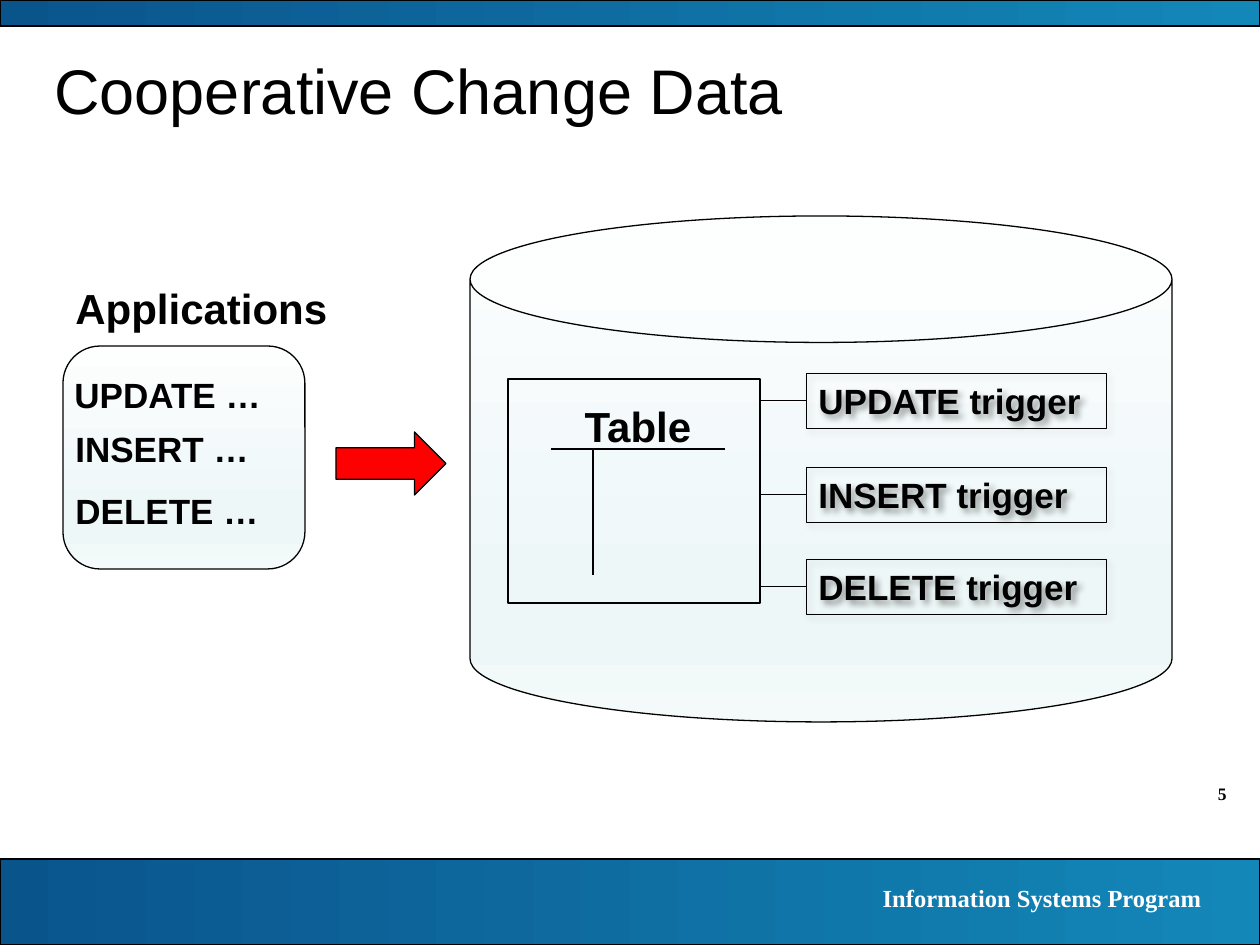
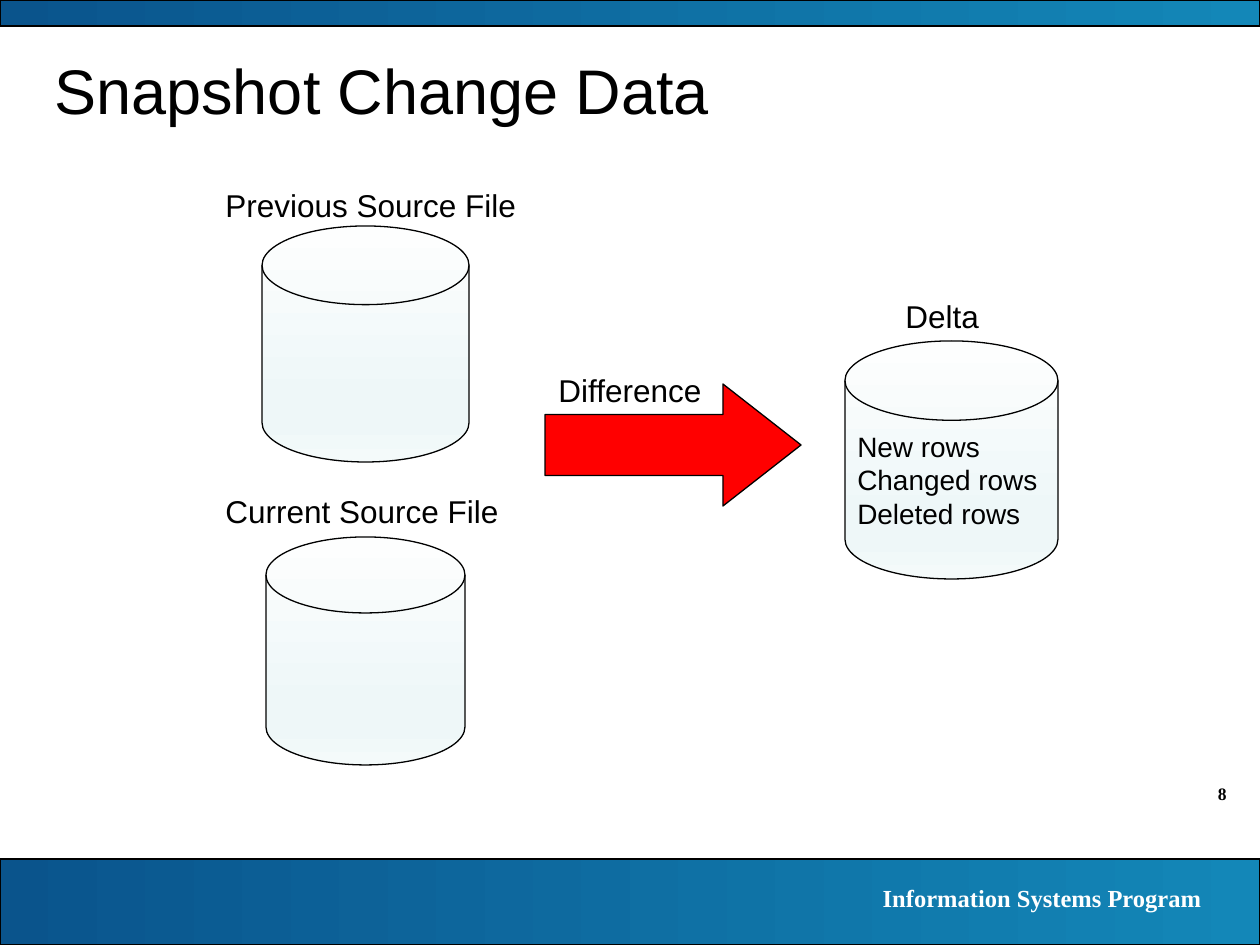
from lxml import etree
from pptx import Presentation
from pptx.dml.color import RGBColor
from pptx.enum.shapes import MSO_CONNECTOR, MSO_SHAPE
from pptx.enum.text import MSO_ANCHOR, PP_ALIGN
from pptx.oxml.ns import qn
from pptx.util import Emu, Pt

RECTANGLE = MSO_SHAPE.RECTANGLE
ROUNDED_BOX = MSO_SHAPE.FLOWCHART_ALTERNATE_PROCESS
CAN = MSO_SHAPE.CAN
DISK = MSO_SHAPE.FLOWCHART_MAGNETIC_DISK
RIGHT_ARROW = MSO_SHAPE.RIGHT_ARROW
STRAIGHT = MSO_CONNECTOR.STRAIGHT
LEFT, CENTER, RIGHT = PP_ALIGN.LEFT, PP_ALIGN.CENTER, PP_ALIGN.RIGHT
TOP, MIDDLE = MSO_ANCHOR.TOP, MSO_ANCHOR.MIDDLE

BLACK = RGBColor(0x00, 0x00, 0x00)
WHITE = RGBColor(0xFF, 0xFF, 0xFF)
RED = RGBColor(0xFF, 0x00, 0x00)
DEEP_BLUE = RGBColor(0x0A, 0x54, 0x8C)
SEA_BLUE = RGBColor(0x13, 0x87, 0xB8)
ICE = RGBColor(0xFD, 0xFE, 0xFE)
MIST = RGBColor(0xEE, 0xF7, 0xF8)
FROST = RGBColor(0xF4, 0xFA, 0xFA)

# Gradients: stops in percent, then the angle counted anticlockwise
BAND_GRADIENT = ([(0, DEEP_BLUE), (100, SEA_BLUE)], 0)
PALE_GRADIENT = ([(0, ICE), (74, MIST), (83, MIST), (100, FROST)], 270)

# Text styles
TITLE = {"name": "Arial", "size": Pt(36), "bold": False}
HEADING = {"name": "Arial", "size": Pt(24), "bold": True}
STATEMENT = {"name": "Arial", "size": Pt(20), "bold": True}
LABEL = {"name": "Arial", "size": Pt(18), "bold": False}
ROW = {"name": "Arial", "size": Pt(16), "bold": False}
PAGE = {"name": "Times New Roman", "size": Pt(10), "bold": True}
PROGRAM = {"name": "Times New Roman", "size": Pt(14), "bold": True}

# Boxes are left, top, width, height in px
EMU_PER_PX = 914400 / 126
SLIDE_WIDTH, SLIDE_HEIGHT = 1260, 945
BANDS = [(0, 859, SLIDE_WIDTH, 86), (0, 0, SLIDE_WIDTH, 26)]
TITLE_BOX = (42, 42, 1155, 95)
PAGE_BOX = (1134, 777, 105, 34)
PROGRAM_BOX = (699, 877, 515, 43)
PROGRAM_NAME = "Information Systems Program"

# Cooperative change data
STATEMENTS = [("UPDATE …", 62, 367), ("INSERT …", 63, 421), ("DELETE …", 63, 483)]
TRIGGERS = [("UPDATE trigger", 373), ("INSERT trigger", 467), ("DELETE trigger", 559)]
APPLICATION_BOX = (63, 346, 242, 223)
DATABASE_BOX = (470, 216, 702, 506)
TABLE_BOX = (508, 379, 252, 224)
TABLE_RULES = [(551, 449, 725, 449), (593, 449, 593, 575)]
TRIGGER_LEFT, TRIGGER_WIDTH, STATEMENT_HEIGHT = 806, 300, 55

# Snapshot change data
DISKS = [
    ((262, 226, 207, 236), []),
    ((266, 537, 199, 228), []),
    ((845, 341, 213, 238), ["New rows", "Changed rows", "Deleted rows"]),
]
DISK_LABELS = [
    ("Previous Source File", (213, 180, 333, 50)),
    ("Current Source File", (213, 486, 333, 50)),
    ("Delta", (893, 291, 116, 50)),
    ("Difference", (546, 365, 183, 50)),
]


def px(*lengths):
    return [Emu(round(length * EMU_PER_PX)) for length in lengths]


def write(shape, lines, style, color=BLACK, align=LEFT, anchor=TOP):
    frame = shape.text_frame
    frame.word_wrap = True
    frame.vertical_anchor = anchor
    frame.text = "\n".join(lines)
    for paragraph in frame.paragraphs:
        paragraph.alignment = align
        for attribute, value in style.items():
            setattr(paragraph.font, attribute, value)
        paragraph.font.color.rgb = color


def add_text(slide, box, text, style, **options):
    write(slide.shapes.add_textbox(*px(*box)), [text], style, **options)


def fill_gradient(shape, gradient):
    stops, angle = gradient
    shape.fill.gradient()
    shape.fill.gradient_angle = angle
    stop_list = shape.element.spPr.find(".//" + qn("a:gsLst"))
    stop_list.clear()
    for percent, color in stops:
        stop = etree.SubElement(stop_list, qn("a:gs"), pos=str(percent * 1000))
        etree.SubElement(stop, qn("a:srgbClr"), val=str(color))


def add_figure(slide, kind, box, gradient=None, color=None, line_width=0.75):
    shape = slide.shapes.add_shape(kind, *px(*box))
    shape.shadow.inherit = False
    if gradient:
        fill_gradient(shape, gradient)
    elif color is not None:
        shape.fill.solid()
        shape.fill.fore_color.rgb = color
    else:
        shape.fill.background()
    shape.line.color.rgb = BLACK
    shape.line.width = Pt(line_width)
    return shape


def add_shadow(shape):
    effects = shape.element.spPr.find(qn("a:effectLst"))
    shadow = etree.SubElement(
        effects, qn("a:outerShdw"), blurRad=str(Pt(4)), dist=str(Pt(3)),
        dir=str(45 * 60000), algn="tl", rotWithShape="0")
    color = etree.SubElement(shadow, qn("a:srgbClr"), val=str(BLACK))
    etree.SubElement(color, qn("a:alpha"), val="40000")


def add_line(slide, ends):
    line = slide.shapes.add_connector(STRAIGHT, *px(*ends))
    line.line.color.rgb = BLACK
    line.line.width = Pt(0.75)
    etree.SubElement(line.element.spPr, qn("a:effectLst"))
    return line


def add_base_slide(presentation, title, number):
    slide = presentation.slides.add_slide(presentation.slide_layouts[6])
    add_text(slide, PAGE_BOX, number, PAGE, align=RIGHT)
    for band in BANDS:
        add_figure(slide, RECTANGLE, band, BAND_GRADIENT)
    add_text(slide, PROGRAM_BOX, PROGRAM_NAME, PROGRAM, color=WHITE, align=RIGHT)
    add_text(slide, TITLE_BOX, title, TITLE, anchor=MIDDLE)
    return slide


def build_cooperative(presentation):
    slide = add_base_slide(presentation, "Cooperative Change Data", "5")
    add_figure(slide, CAN, DATABASE_BOX, PALE_GRADIENT)

    # Applications and their statements
    add_figure(slide, ROUNDED_BOX, APPLICATION_BOX, PALE_GRADIENT)
    add_text(slide, (63, 276, 312, 63), "Applications", HEADING)
    for text, left, top in STATEMENTS:
        add_text(slide, (left, top, 242, STATEMENT_HEIGHT), text, STATEMENT)
    add_figure(slide, RIGHT_ARROW, (336, 432, 110, 63), color=RED)

    # Table
    add_figure(slide, RECTANGLE, TABLE_BOX)
    add_text(slide, (551, 394, 174, 63), "Table", HEADING, align=CENTER)
    for rule in TABLE_RULES:
        add_line(slide, rule)

    # Triggers joined to the table
    table_right = TABLE_BOX[0] + TABLE_BOX[2]
    for text, top in TRIGGERS:
        box = (TRIGGER_LEFT, top, TRIGGER_WIDTH, STATEMENT_HEIGHT)
        trigger = add_figure(slide, RECTANGLE, box, line_width=0.25)
        add_shadow(trigger)
        write(trigger, [text], STATEMENT)
        middle = top + STATEMENT_HEIGHT / 2
        link = add_line(slide, (table_right, middle, TRIGGER_LEFT, middle))
        link.end_connect(trigger, 1)


def build_snapshot(presentation):
    slide = add_base_slide(presentation, "Snapshot Change Data", "8")
    for box, rows in DISKS:
        disk = add_figure(slide, DISK, box, PALE_GRADIENT)
        if rows:
            write(disk, rows, ROW, anchor=MIDDLE)
    arrow = add_figure(slide, RIGHT_ARROW, (545, 384, 256, 122), color=RED)
    arrow.adjustments[1] = 0.64
    for text, box in DISK_LABELS:
        add_text(slide, box, text, LABEL)


def main():
    presentation = Presentation()
    presentation.slide_width, presentation.slide_height = px(SLIDE_WIDTH, SLIDE_HEIGHT)
    build_cooperative(presentation)
    build_snapshot(presentation)
    presentation.save("out.pptx")


if __name__ == "__main__":
    main()
